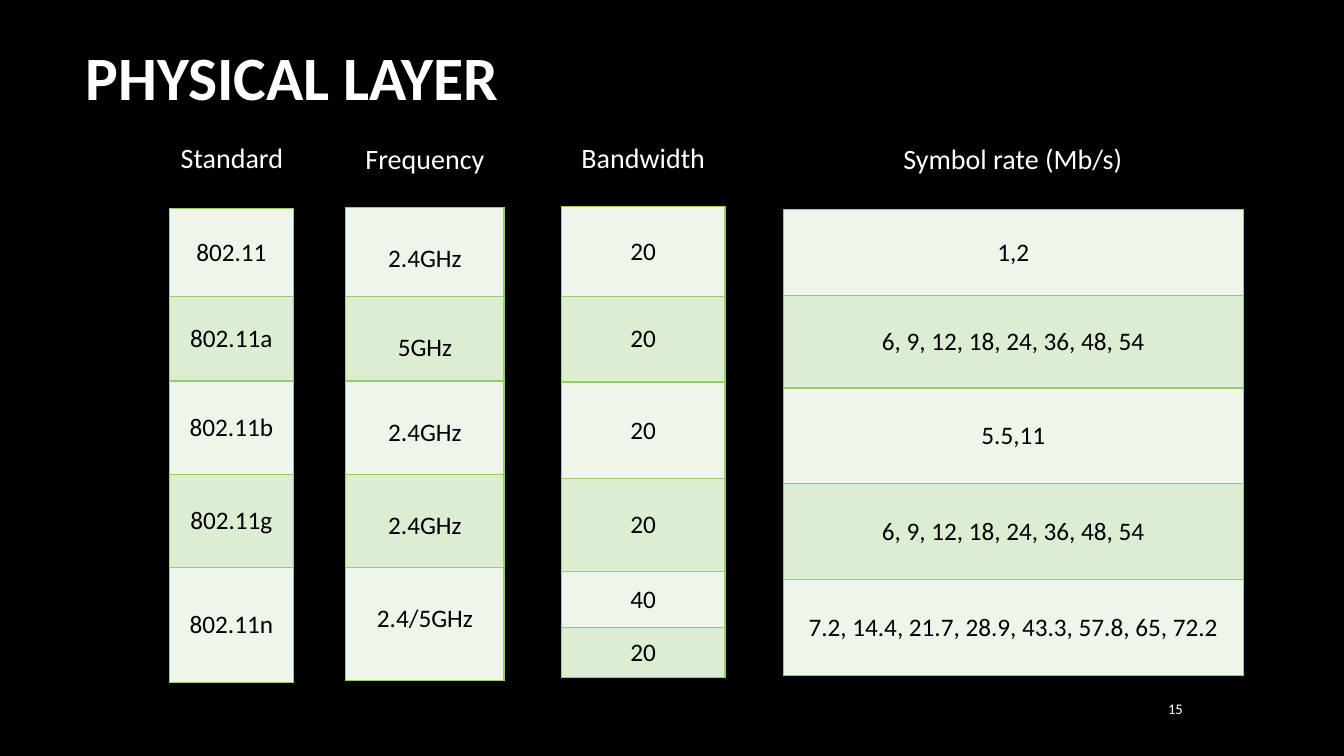
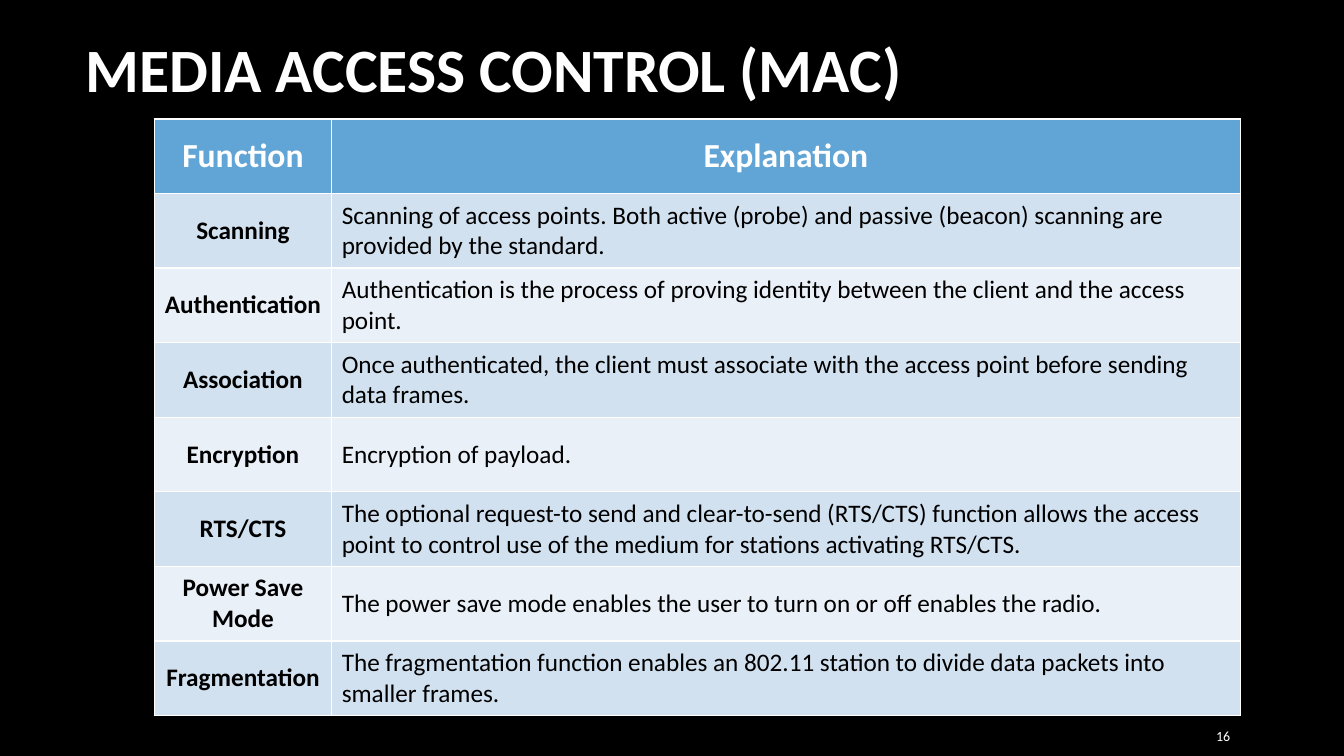
from lxml.etree import SubElement
from pptx import Presentation
from pptx.dml.color import RGBColor
from pptx.enum.text import MSO_ANCHOR, PP_ALIGN
from pptx.oxml.ns import qn
from pptx.util import Inches, Pt

BLACK = RGBColor(0x00, 0x00, 0x00)
WHITE = RGBColor(0xFF, 0xFF, 0xFF)
GREEN_LINE = RGBColor(0x94, 0xCE, 0x67)
GREEN_BANDS = (RGBColor(0xEE, 0xF6, 0xEB), RGBColor(0xDC, 0xED, 0xD3))
BLUE_HEADER = RGBColor(0x61, 0xA5, 0xD6)
BLUE_BANDS = (RGBColor(0xD2, 0xE1, 0xF0), RGBColor(0xEA, 0xF0, 0xF7))

PHYSICAL_COLUMNS = [
    ("Standard", (1.63, 1.34, 1.34), (1.68, 2.07, 1.23),
     [0.87, 0.84, 0.93, 0.92, 1.14],
     ["802.11", "802.11a", "802.11b", "802.11g", "802.11n"], None),
    ("Frequency", (3.51, 1.35, 1.41), (3.43, 2.06, 1.57),
     [0.88, 0.84, 0.93, 0.92, 1.12],
     ["2.4GHz", "5GHz", "2.4GHz", "2.4GHz", "2.4/5GHz"], 0.36),
    ("Bandwidth", (5.57, 1.34, 1.62), (5.57, 2.05, 1.62),
     [0.89, 0.85, 0.96, 0.92, 0.56, 0.49],
     ["20", "20", "20", "20", "40", "20"], None),
    ("Symbol rate (Mb/s)", (8.43, 1.35, 3.23), (7.77, 2.08, 4.56),
     [0.85, 0.92, 0.95, 0.95, 0.95],
     ["1,2", "6, 9, 12, 18, 24, 36, 48, 54", "5.5,11",
      "6, 9, 12, 18, 24, 36, 48, 54",
      "7.2, 14.4, 21.7, 28.9, 43.3, 57.8, 65, 72.2"], None),
]

MAC_FUNCTIONS = [
    ("Scanning", "Scanning of access points. Both active (probe) and passive (beacon) "
                 "scanning are provided by the standard."),
    ("Authentication", "Authentication is the process of proving identity between "
                       "the client and the access point."),
    ("Association", "Once authenticated, the client must associate with the access "
                    "point before sending data frames."),
    ("Encryption", "Encryption of payload."),
    ("RTS/CTS", "The optional request-to send and clear-to-send (RTS/CTS) function "
                "allows the access point to control use of the medium for stations "
                "activating RTS/CTS."),
    ("Power Save Mode", "The power save mode enables the user to turn on or off "
                        "enables the radio."),
    ("Fragmentation", "The fragmentation function enables an 802.11 station to divide "
                      "data packets into smaller frames."),
]


class Deck:
    font = "Calibri"

    def __init__(self):
        self.presentation = Presentation()
        self.presentation.slide_width = Inches(13.33)
        self.presentation.slide_height = Inches(7.5)
        self.slide = None

    def add_slide(self):
        self.slide = self.presentation.slides.add_slide(self.presentation.slide_layouts[6])
        fill = self.slide.background.fill
        fill.solid()
        fill.fore_color.rgb = BLACK

    def add_text(self, frame, text, size, color, bold=False, align=PP_ALIGN.LEFT):
        paragraph = frame.paragraphs[0]
        paragraph.alignment = align
        run = paragraph.add_run()
        run.text = text
        run.font.name = self.font
        run.font.size = Pt(size)
        run.font.bold = bold
        run.font.color.rgb = color

    def text_box(self, text, left, top, width, height, size, anchor=MSO_ANCHOR.MIDDLE, **style):
        box = self.slide.shapes.add_textbox(
            Inches(left), Inches(top), Inches(width), Inches(height))
        box.text_frame.word_wrap = True
        box.text_frame.vertical_anchor = anchor
        self.add_text(box.text_frame, text, size, WHITE, **style)

    def title(self, text, top, height):
        self.text_box(text, 0.75, top, 11.08, height, 44, bold=True)

    def heading(self, text, left, top, width):
        self.text_box(text, left, top, width, 0.44, 20, MSO_ANCHOR.TOP, align=PP_ALIGN.CENTER)

    def page_number(self, number, left, top, size):
        self.text_box(str(number), left, top, 0.6, 0.41, size, align=PP_ALIGN.RIGHT)

    def table(self, left, top, widths, heights):
        table = self.slide.shapes.add_table(
            len(heights), len(widths), Inches(left), Inches(top),
            Inches(sum(widths)), Inches(sum(heights))).table
        table.first_row = False
        table.horz_banding = False
        for column, width in zip(table.columns, widths):
            column.width = Inches(width)
        for row, height in zip(table.rows, heights):
            row.height = Inches(height)
        return table

    def cell(self, cell, text, size, color, fill, line, top_margin=None, **style):
        properties = cell._tc.get_or_add_tcPr()
        for side in ("a:lnL", "a:lnR", "a:lnT", "a:lnB"):
            border = SubElement(properties, qn(side), w=str(Pt(1)))
            solid = SubElement(border, qn("a:solidFill"))
            SubElement(solid, qn("a:srgbClr"), val=str(line))
        cell.fill.solid()
        cell.fill.fore_color.rgb = fill
        if top_margin is None:
            cell.vertical_anchor = MSO_ANCHOR.MIDDLE
        else:
            cell.vertical_anchor = MSO_ANCHOR.TOP
            cell.margin_top = Inches(top_margin)
        self.add_text(cell.text_frame, text, size, color, **style)

    def value_column(self, left, top, width, heights, values, top_margin):
        table = self.table(left, top, [width], heights)
        for index, value in enumerate(values):
            self.cell(table.cell(index, 0), value, 18, BLACK, GREEN_BANDS[index % 2],
                      GREEN_LINE, top_margin, align=PP_ALIGN.CENTER)

    def function_table(self, left, top, widths, row_height, header, rows):
        table = self.table(left, top, widths, [row_height] * (len(rows) + 1))
        for index, label in enumerate(header):
            self.cell(table.cell(0, index), label, 24, WHITE, BLUE_HEADER, WHITE,
                      bold=True, align=PP_ALIGN.CENTER)
        for index, (name, explanation) in enumerate(rows):
            fill = BLUE_BANDS[index % 2]
            self.cell(table.cell(index + 1, 0), name, 18, BLACK, fill, WHITE,
                      bold=True, align=PP_ALIGN.CENTER)
            self.cell(table.cell(index + 1, 1), explanation, 18, BLACK, fill, WHITE)


def main():
    deck = Deck()

    deck.add_slide()
    for label, label_place, table_place, heights, values, top_margin in PHYSICAL_COLUMNS:
        deck.value_column(*table_place, heights, values, top_margin)
        deck.heading(label, *label_place)
    deck.title("PHYSICAL LAYER", 0.17, 1.17)
    deck.page_number(15, 11.23, 6.82, 10.5)

    deck.add_slide()
    deck.function_table(1.53, 1.18, [1.76, 9.01], 0.74,
                        ("Function", "Explanation"), MAC_FUNCTIONS)
    deck.title("MEDIA ACCESS CONTROL (MAC)", 0.05, 1.24)
    deck.page_number(16, 11.7, 7.1, 10)

    deck.presentation.save("out.pptx")


if __name__ == "__main__":
    main()
